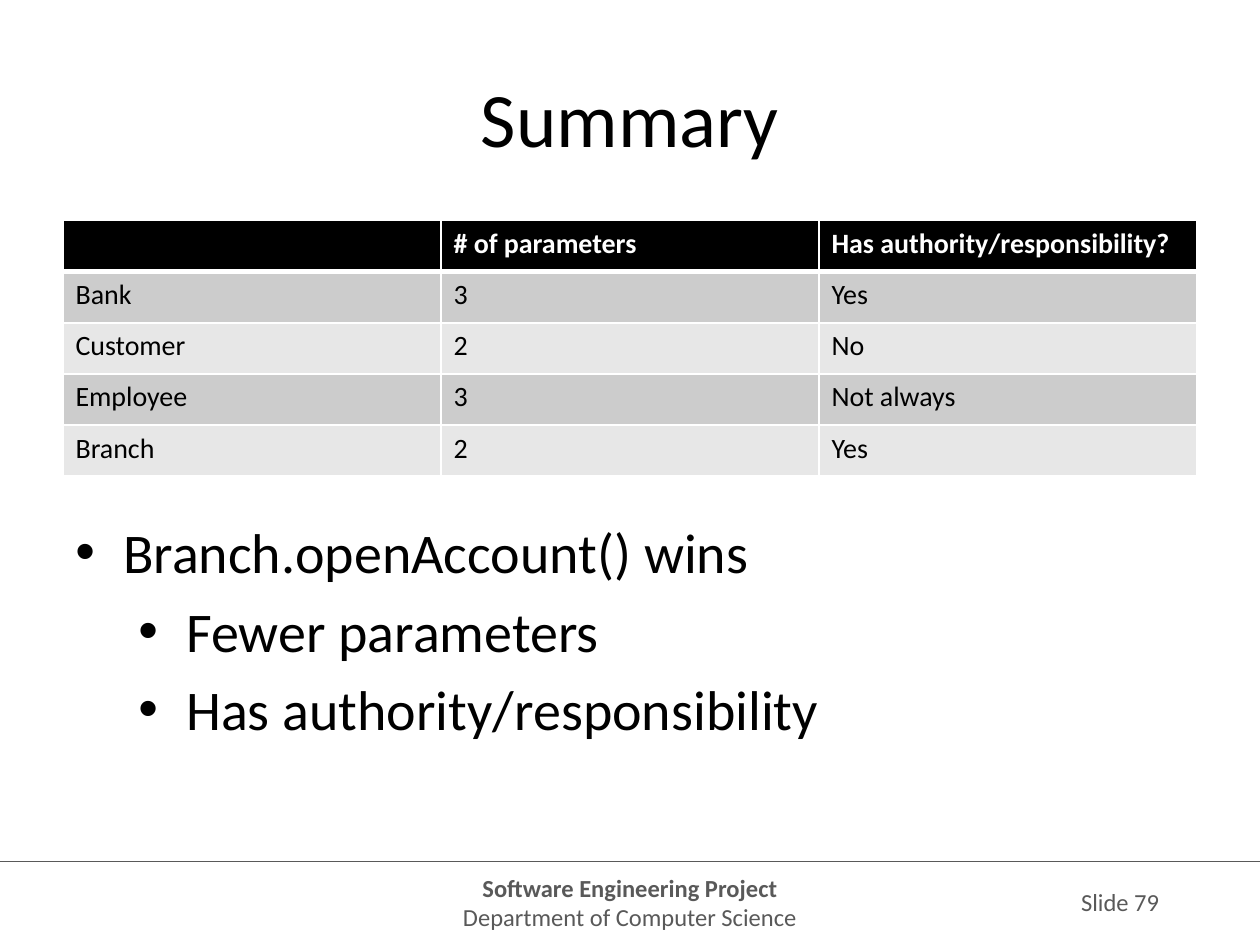
from lxml import etree
from pptx import Presentation
from pptx.dml.color import RGBColor
from pptx.enum.shapes import MSO_CONNECTOR
from pptx.enum.text import MSO_ANCHOR, PP_ALIGN
from pptx.oxml.ns import qn
from pptx.util import Inches, Pt


def rgb(value):
    return RGBColor.from_string(value)


def style(p, size, color, bold=False):
    for r in p.runs:
        r.font.name = "Calibri"
        r.font.size = Pt(size)
        r.font.bold = bold
        r.font.color.rgb = rgb(color)


prs = Presentation()
prs.slide_width, prs.slide_height = Inches(10), Inches(7.5)
s = prs.slides.add_slide(prs.slide_layouts[5])

# Footer rule
rule = s.shapes.add_connector(MSO_CONNECTOR.STRAIGHT, Inches(0), Inches(6.84), Inches(10), Inches(6.84))
rule.line.color.rgb = rgb("595959")
rule.line.width = Pt(0.75)
etree.SubElement(rule.line._get_or_add_ln().getparent(), qn("a:effectLst"))

# Footer texts
footers = [
    (0.5, 6.88, 9, 0.57, ["Software Engineering Project", "Department of Computer Science"]),
    (8.28, 6.99, 1.22, 0.34, ["Slide 79"]),
]
for left, top, width, height, lines in footers:
    tf = s.shapes.add_textbox(Inches(left), Inches(top), Inches(width), Inches(height)).text_frame
    tf.word_wrap = True
    tf.text = "\n".join(lines)
    for i, p in enumerate(tf.paragraphs):
        p.alignment = PP_ALIGN.CENTER
        style(p, 14, "595959", bold=len(lines) > 1 and i == 0)

# Title
title = s.shapes.title
title.left, title.top, title.width, title.height = Inches(0.5), Inches(0.3), Inches(9), Inches(1.25)
tf = title.text_frame
tf.text = "Summary"
tf.vertical_anchor = MSO_ANCHOR.MIDDLE
tf.paragraphs[0].alignment = PP_ALIGN.CENTER
style(tf.paragraphs[0], 44, "000000")

# Comparison table
rows = [
    ["", "# of parameters", "Has authority/responsibility?"],
    ["Bank", "3", "Yes"],
    ["Customer", "2", "No"],
    ["Employee", "3", "Not always"],
    ["Branch", "2", "Yes"],
]
table = s.shapes.add_table(len(rows), 3, Inches(0.5), Inches(1.75), Inches(9), Inches(2.03)).table
for i, row in enumerate(rows):
    fill = "000000" if i == 0 else "CCCCCC" if i % 2 else "E7E7E7"
    for j, text in enumerate(row):
        cell = table.cell(i, j)
        cell.text = text
        style(cell.text_frame.paragraphs[0], 16, "FFFFFF" if i == 0 else "000000", bold=i == 0)
        # White borders, thicker under the header row
        tcPr = cell._tc.get_or_add_tcPr()
        for side in ("lnL", "lnR", "lnT", "lnB"):
            thick = (i, side) in ((0, "lnB"), (1, "lnT"))
            ln = etree.SubElement(tcPr, qn(f"a:{side}"), w=str(Pt(3 if thick else 1)))
            solid = etree.SubElement(ln, qn("a:solidFill"))
            etree.SubElement(solid, qn("a:srgbClr"), val="FFFFFF")
        cell.fill.solid()
        cell.fill.fore_color.rgb = rgb(fill)

# Conclusion bullets
bullets = [(0, "Branch.openAccount() wins"), (1, "Fewer parameters"), (1, "Has authority/responsibility")]
tf = s.shapes.add_textbox(Inches(0.5), Inches(4.06), Inches(9), Inches(2.63)).text_frame
tf.word_wrap = True
tf.text = "\n".join(text for level, text in bullets)
for i, (p, (level, text)) in enumerate(zip(tf.paragraphs, bullets)):
    p.level = level
    pPr = p._p.get_or_add_pPr()
    pPr.set("marL", str(Inches(0.38 + 0.5 * level)))
    pPr.set("indent", str(Inches(-0.38)))
    etree.SubElement(pPr, qn("a:buFont"), typeface="Arial")
    etree.SubElement(pPr, qn("a:buChar"), char="•")
    if i:
        p.space_before = Pt(6.4)
    style(p, 32, "000000")

prs.save("out.pptx")
